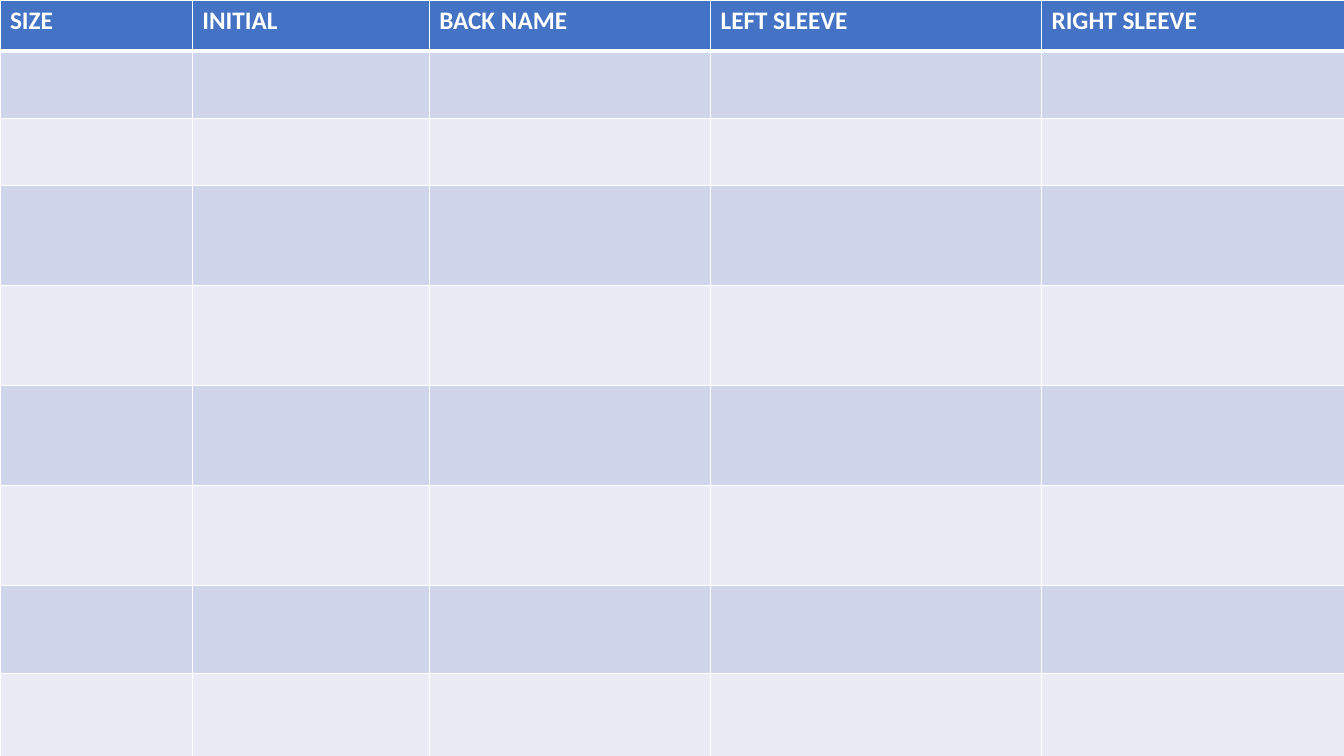
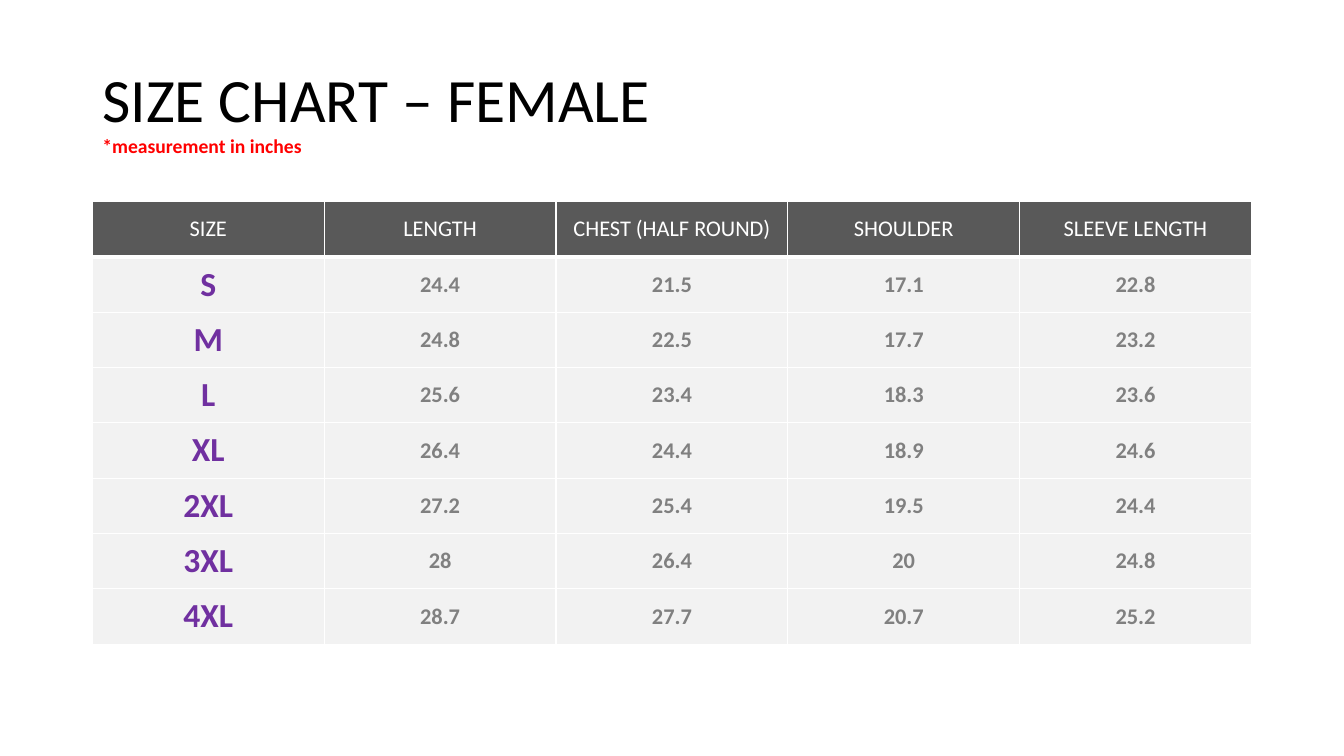
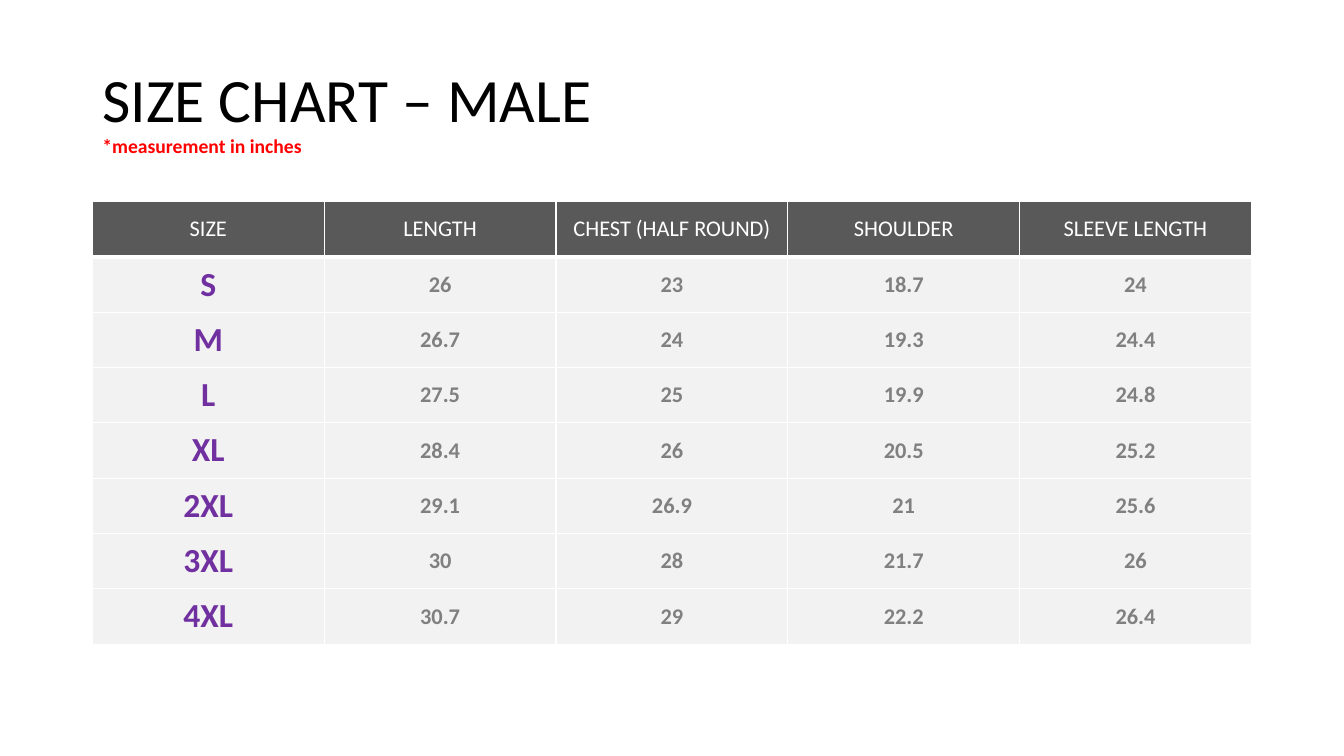
from dataclasses import dataclass
from typing import Optional

from lxml.etree import SubElement
from pptx import Presentation
from pptx.dml.color import RGBColor
from pptx.enum.text import MSO_ANCHOR, PP_ALIGN
from pptx.oxml.ns import qn
from pptx.slide import Slide
from pptx.table import _Cell
from pptx.text.text import _Paragraph
from pptx.util import Emu, Inches, Pt

WHITE = RGBColor(0xFF, 0xFF, 0xFF)
BLACK = RGBColor(0x00, 0x00, 0x00)
RED = RGBColor(0xFF, 0x00, 0x00)
PURPLE = RGBColor(0x70, 0x30, 0xA0)
GREY = RGBColor(0x80, 0x80, 0x80)
DARK_GREY = RGBColor(0x59, 0x59, 0x59)
PALE_GREY = RGBColor(0xF2, 0xF2, 0xF2)
BLUE = RGBColor(0x44, 0x72, 0xC4)
BLUE_BAND = RGBColor(0xCF, 0xD5, 0xEA)
PALE_BLUE_BAND = RGBColor(0xE9, 0xEB, 0xF5)

FONT = "Calibri"
SLIDE_W, SLIDE_H = Inches(13.333), Inches(7.5)
GRID_COLS = 160
UNIT = SLIDE_W / GRID_COLS
LEFT, WIDTH = 11, 138
TITLE_TOP, TITLE_HEIGHT = 4.8, 17.4
CHART_TOP, CHART_ROW = 24, 6.59

ORDER_HEADS = ["SIZE", "INITIAL", "BACK NAME", "LEFT SLEEVE", "RIGHT SLEEVE"]
ORDER_COLS = [22.9, 28.2, 33.5, 39.4, 36.1]
ORDER_ROWS = [6.1] + [8] * 2 + [11.9] * 4 + [10.5] * 2
CHART_HEADS = ["SIZE", "LENGTH", "CHEST (HALF ROUND)", "SHOULDER", "SLEEVE LENGTH"]
SIZES = ["S", "M", "L", "XL", "2XL", "3XL", "4XL"]


@dataclass(frozen=True)
class TextStyle:
    """Format of the text in one kind of cell."""
    size: int
    color: RGBColor
    bold: bool = False


@dataclass(frozen=True)
class TableStyle:
    """Look of a table: header, bands, text and alignment."""
    head: TextStyle
    head_fill: RGBColor
    bands: tuple[RGBColor, ...]
    label: Optional[TextStyle] = None
    value: Optional[TextStyle] = None
    align: PP_ALIGN = PP_ALIGN.LEFT
    anchor: MSO_ANCHOR = MSO_ANCHOR.TOP


@dataclass(frozen=True)
class SizeChart:
    """Measurements of one cut, a row per size."""
    title: str
    measures: list[str]


ORDER_STYLE = TableStyle(TextStyle(18, WHITE, True), BLUE, (BLUE_BAND, PALE_BLUE_BAND))
CHART_STYLE = TableStyle(
    TextStyle(16, WHITE), DARK_GREY, (PALE_GREY,),
    label=TextStyle(24, PURPLE, True), value=TextStyle(16, GREY, True),
    align=PP_ALIGN.CENTER, anchor=MSO_ANCHOR.MIDDLE)

SIZE_CHARTS = [
    SizeChart("SIZE CHART – FEMALE", [
        "24.4 21.5 17.1 22.8",
        "24.8 22.5 17.7 23.2",
        "25.6 23.4 18.3 23.6",
        "26.4 24.4 18.9 24.6",
        "27.2 25.4 19.5 24.4",
        "28 26.4 20 24.8",
        "28.7 27.7 20.7 25.2",
    ]),
    SizeChart("SIZE CHART – MALE", [
        "26 23 18.7 24",
        "26.7 24 19.3 24.4",
        "27.5 25 19.9 24.8",
        "28.4 26 20.5 25.2",
        "29.1 26.9 21 25.6",
        "30 28 21.7 26",
        "30.7 29 22.2 26.4",
    ]),
]


def grid(units: float) -> Emu:
    """Turn grid units into a length."""
    return Emu(round(units * UNIT))


def add_text(p: _Paragraph, text: str, *, size: int, color: RGBColor,
             bold: bool = False) -> None:
    """Append a formatted run to a paragraph."""
    r = p.add_run()
    r.text = text
    r.font.name, r.font.size, r.font.bold = FONT, Pt(size), bold
    r.font.color.rgb = color


def set_borders(cell: _Cell, top: int, bottom: int) -> None:
    """Give a cell white borders, 1 pt at the sides."""
    props = cell._tc.get_or_add_tcPr()
    for side, points in (("L", 1), ("R", 1), ("T", top), ("B", bottom)):
        line = SubElement(props, qn(f"a:ln{side}"), w=str(Pt(points)))
        fill = SubElement(line, qn("a:solidFill"))
        SubElement(fill, qn("a:srgbClr"), val=str(WHITE))


def add_grid_table(s: Slide, left: float, top: float, cols: list[float],
                   rows: list[float], cells: list[list[str]], style: TableStyle) -> None:
    """Draw a table whose first row is the header."""
    table = s.shapes.add_table(len(rows), len(cols), grid(left), grid(top),
                               grid(sum(cols)), grid(sum(rows))).table
    for col, width in zip(table.columns, cols):
        col.width = grid(width)
    for i, (row, height) in enumerate(zip(table.rows, rows)):
        row.height = grid(height)
        for j, cell in enumerate(row.cells):
            set_borders(cell, top=3 if i == 1 else 1, bottom=3 if i == 0 else 1)
            cell.fill.solid()
            cell.fill.fore_color.rgb = (
                style.bands[(i - 1) % len(style.bands)] if i else style.head_fill)
            cell.vertical_anchor = style.anchor
            p = cell.text_frame.paragraphs[0]
            p.alignment = style.align
            text_style = style.head if i == 0 else style.value if j else style.label
            if text_style and cells[i][j]:
                add_text(p, cells[i][j], size=text_style.size,
                         color=text_style.color, bold=text_style.bold)


def add_title(s: Slide, title: str) -> None:
    """Draw the title with the note on units under it."""
    tf = s.shapes.add_textbox(grid(LEFT), grid(TITLE_TOP), grid(WIDTH),
                              grid(TITLE_HEIGHT)).text_frame
    tf.word_wrap = True
    tf.vertical_anchor = MSO_ANCHOR.MIDDLE
    p = tf.paragraphs[0]
    p.line_spacing = 0.9
    add_text(p, title, size=44, color=BLACK)
    p.add_line_break()
    add_text(p, "*measurement in inches", size=14, color=RED, bold=True)


def add_order_form(s: Slide) -> None:
    """Draw the empty order form over the whole slide."""
    blanks = [[""] * len(ORDER_COLS) for _ in ORDER_ROWS[1:]]
    add_grid_table(s, 0, 0, ORDER_COLS, ORDER_ROWS, [ORDER_HEADS] + blanks, ORDER_STYLE)


def add_size_chart(s: Slide, chart: SizeChart) -> None:
    """Draw a titled table of measurements."""
    add_title(s, chart.title)
    body = [[size, *line.split()] for size, line in zip(SIZES, chart.measures)]
    cells = [CHART_HEADS] + body
    cols = [WIDTH / len(CHART_HEADS)] * len(CHART_HEADS)
    add_grid_table(s, LEFT, CHART_TOP, cols, [CHART_ROW] * len(cells), cells, CHART_STYLE)


def main() -> None:
    """Build and save the presentation."""
    prs = Presentation()
    prs.slide_width, prs.slide_height = SLIDE_W, SLIDE_H
    blank = prs.slide_layouts[6]
    add_order_form(prs.slides.add_slide(blank))
    for chart in SIZE_CHARTS:
        add_size_chart(prs.slides.add_slide(blank), chart)
    prs.save("out.pptx")


main()
